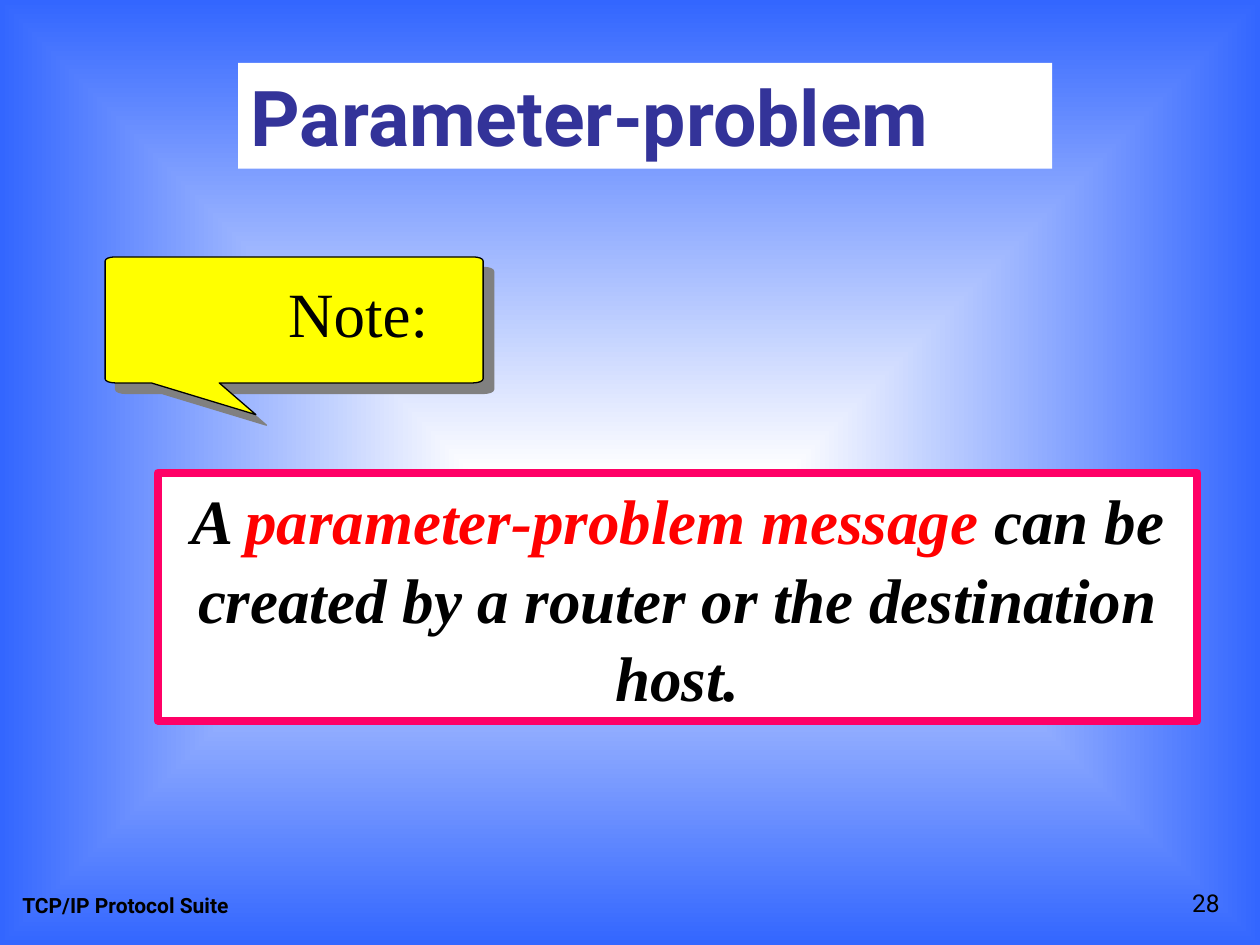
from math import cos, pi, sin

from lxml import etree
from pptx import Presentation
from pptx.dml.color import RGBColor
from pptx.enum.shapes import MSO_SHAPE as SHAPE
from pptx.enum.text import MSO_ANCHOR as ANCHOR, PP_ALIGN as ALIGN
from pptx.oxml import parse_xml
from pptx.util import Cm, Pt

SERIF, SANS = "Times New Roman", "Roboto"
NOTE_FORMAT = dict(name=SERIF, size=Pt(36))
MESSAGE_FORMAT = dict(NOTE_FORMAT, bold=True, italic=True)

TITLE = [("Parameter-problem", "333399")]
NOTE = [("Note:", "000000")]
MESSAGE = [
    ("A ", "000000"),
    ("parameter-problem message ", "FF0000"),
    ("can be created by a router or the destination host.", "000000"),
]
FOOTER = [("TCP/IP Protocol Suite", "000000")]
NUMBER = [("28", "000000")]

CALLOUT = (2.12, 5.18, 7.62, 2.54)
CORNER = (0.2, 0.08)
TAIL = [(4.42, 7.72), (5.16, 8.36), (3.05, 7.72)]

NS = "http://schemas.openxmlformats.org/drawingml/2006/main"
P_NS = "http://schemas.openxmlformats.org/presentationml/2006/main"
BACKGROUND = f"""<p:bg xmlns:p="{P_NS}" xmlns:a="{NS}"><p:bgPr>
<a:gradFill rotWithShape="0"><a:gsLst>
<a:gs pos="0"><a:srgbClr val="FFFFFF"/></a:gs>
<a:gs pos="100000"><a:srgbClr val="3366FF"/></a:gs></a:gsLst>
<a:path path="shape"><a:fillToRect l="50000" t="50000" r="50000" b="50000"/></a:path>
</a:gradFill><a:effectLst/></p:bgPr></p:bg>"""
SHADOW = f"""<a:effectLst xmlns:a="{NS}">
<a:outerShdw dist="107950" dir="2700000" algn="ctr" rotWithShape="0">
<a:srgbClr val="808080"/></a:outerShdw></a:effectLst>"""


def rgb(value):
    return RGBColor.from_string(value)


def write(sp, runs, fmt, align=ALIGN.LEFT, anchor=ANCHOR.MIDDLE, wrap=True):
    tf = sp.text_frame
    tf.word_wrap = wrap
    tf.vertical_anchor = anchor
    p = tf.paragraphs[0]
    p.alignment = align
    for text, color in runs:
        r = p.add_run()
        r.text = text
        for key, value in fmt.items():
            setattr(r.font, key, value)
        r.font.color.rgb = rgb(color)


def paint(sp, fill, line=None, width=0):
    sp.shadow.inherit = False
    sp.fill.solid()
    sp.fill.fore_color.rgb = rgb(fill)
    if line:
        sp.line.color.rgb = rgb(line)
        sp.line.width = Pt(width)
    else:
        sp.line.fill.background()


def add_box(s, box, fill, line=None, width=0):
    sp = s.shapes.add_shape(SHAPE.RECTANGLE, *map(Cm, box))
    paint(sp, fill, line, width)
    return sp


def add_text(s, box, *args, **kwargs):
    write(s.shapes.add_textbox(*map(Cm, box)), *args, **kwargs)


def callout_points():
    x, y, w, h = CALLOUT
    rx, ry = CORNER
    centers = [(x + w - rx, y + h - ry), (x + rx, y + h - ry),
               (x + rx, y + ry), (x + w - rx, y + ry)]
    points = []
    for quarter, (cx, cy) in enumerate(centers):
        for step in range(5):
            angle = (quarter + step / 4) * pi / 2
            points.append((cx + rx * cos(angle), cy + ry * sin(angle)))
        if quarter == 0:
            points += TAIL
    return [(Cm(px), Cm(py)) for px, py in points]


def add_callout(s):
    start, *rest = callout_points()
    builder = s.shapes.build_freeform(*start)
    builder.add_line_segments(rest, close=True)
    sp = builder.convert_to_shape()
    paint(sp, "FFFF00", "000000", 0.75)
    pr = sp._element.spPr
    pr.replace(pr.find(f"{{{NS}}}effectLst"), parse_xml(SHADOW))


def main():
    prs = Presentation()
    prs.slide_width, prs.slide_height = Cm(25.4), Cm(19.05)
    s = prs.slides.add_slide(prs.slide_layouts[6])
    s._element.cSld.insert(0, parse_xml(BACKGROUND))

    add_text(s, (0.2, 17.35, 8.05, 1.27), FOOTER,
             dict(name=SANS, size=Pt(12), bold=True), anchor=ANCHOR.BOTTOM)
    add_text(s, (19.56, 17.35, 5.28, 1.27), NUMBER,
             dict(name=SANS, size=Pt(14)), ALIGN.RIGHT, ANCHOR.BOTTOM)
    message = add_box(s, (3.18, 9.53, 20.96, 5), "FFFFFF", "FF0066", 4.5)
    write(message, MESSAGE, MESSAGE_FORMAT, ALIGN.CENTER)
    message.text_frame.paragraphs[0].line_spacing = 1.04
    add_callout(s)
    add_text(s, (5.56, 5.41, 3.33, 1.78), NOTE, NOTE_FORMAT, wrap=False)
    title = add_box(s, (4.8, 1.27, 16.41, 2.13), "FFFFFF")
    write(title, TITLE, dict(name=SANS, size=Pt(44), bold=True), wrap=False)

    prs.save("out.pptx")


if __name__ == "__main__":
    main()
